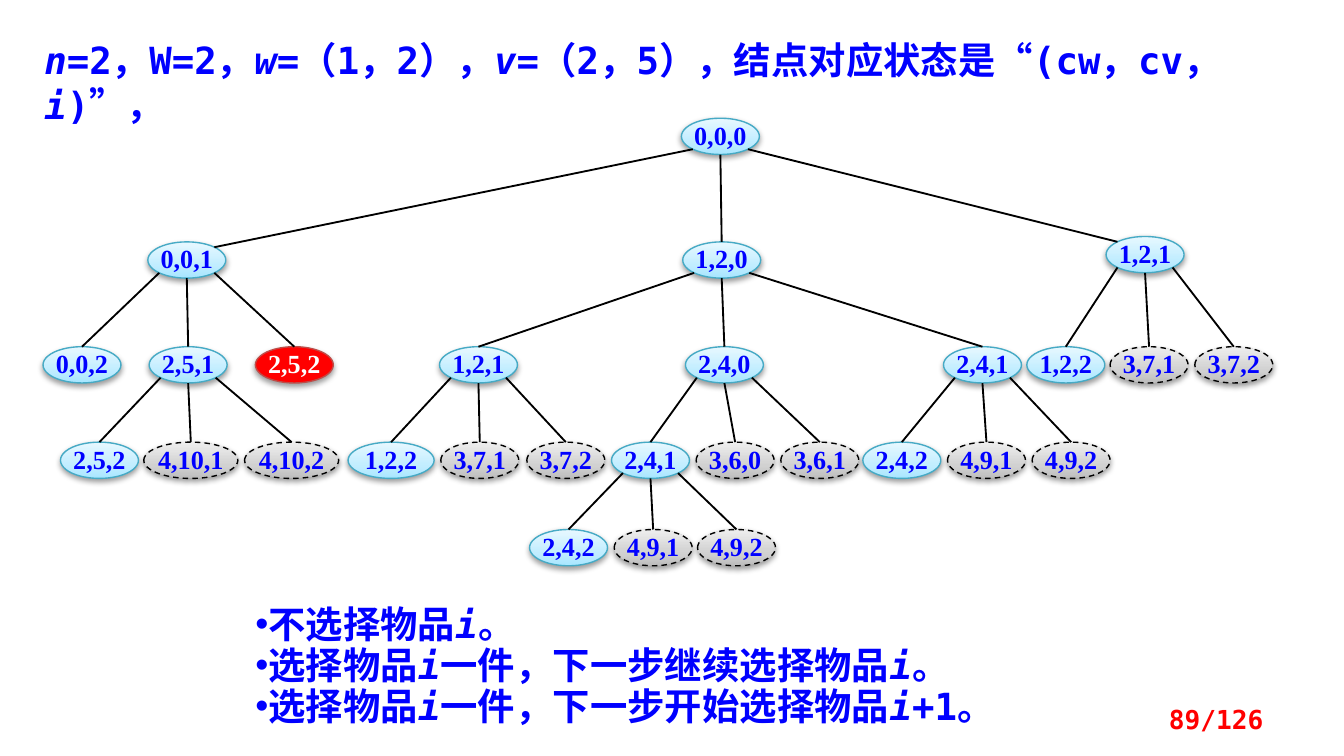
from dataclasses import dataclass
from math import sqrt

from lxml import etree
from pptx import Presentation
from pptx.dml.color import RGBColor
from pptx.enum.dml import MSO_LINE
from pptx.enum.shapes import MSO_CONNECTOR, MSO_SHAPE
from pptx.enum.text import MSO_ANCHOR, MSO_AUTO_SIZE, PP_ALIGN
from pptx.oxml import parse_xml
from pptx.oxml.ns import nsdecls, qn
from pptx.util import Inches, Pt

COLORS = {
    "text": "0000FF", "page": "FF0000", "black": "000000", "white": "FFFFFF",
    "node_line": "46AAC5", "best": "FF0000", "best_line": "BF4C48",
}
BLUE_STOPS = ("A7E6FF", "C1EDFF", "E7F8FF")
GRAY_STOPS = ("BDBDBD", "D1D1D1", "EEEEEE")
MONO, SERIF = "DejaVu Sans Mono", "Times New Roman"
SLIDE_WIDTH = 10
CAPACITY = 2
NODE_HEIGHT = 0.27
LEVELS = (0, 0.92, 1.70, 2.41, 3.06)


@dataclass
class Node:
    state: str
    x: float
    children: tuple = ()
    width: float = 0.58
    best: bool = False
    lift: float = 0      # raises the node above its level
    entry: int = 0       # where the edge arrives: 1 upper right, -1 upper left


TREE = Node("0,0,0", 4.75, (
    Node("0,0,1", 0.78, (
        Node("0,0,2", 0),
        Node("2,5,1", 0.79, (
            Node("2,5,2", 0.13),
            Node("4,10,1", 0.75, width=0.7),
            Node("4,10,2", 1.5, width=0.7))),
        Node("2,5,2", 1.58, best=True)), entry=1),
    Node("1,2,0", 4.76, (
        Node("1,2,1", 2.95, (
            Node("1,2,2", 2.27, width=0.64),
            Node("3,7,1", 2.96),
            Node("3,7,2", 3.6))),
        Node("2,4,0", 4.78, (
            Node("2,4,1", 4.23, (
                Node("2,4,2", 3.62),
                Node("4,9,1", 4.25),
                Node("4,9,2", 4.87))),
            Node("3,6,0", 4.86),
            Node("3,6,1", 5.49))),
        Node("2,4,1", 6.7, (
            Node("2,4,2", 6.1),
            Node("4,9,1", 6.73),
            Node("4,9,2", 7.36))))),
    Node("1,2,1", 7.91, (
        Node("1,2,2", 7.32),
        Node("3,7,1", 7.94),
        Node("3,7,2", 8.57)), lift=0.04, entry=-1)))


def add_span(para, text, *, size=20, font=MONO, color="text", bold=True, italic=False):
    span = para.add_run()
    span.text = text
    span.font.size, span.font.name = Pt(size), font
    span.font.bold, span.font.italic = bold, italic
    span.font.color.rgb = RGBColor.from_string(COLORS[color])


def add_spans(para, marked):
    """Add text in which *stars* enclose italic variables."""
    for index, text in enumerate(marked.split("*")):
        if text:
            add_span(para, text, italic=index % 2 == 1)


def place(shape, left, top, width, height):
    shape.left, shape.top = Inches(left), Inches(top)
    shape.width, shape.height = Inches(width), Inches(height)


def setup_frame(shape):
    frame = shape.text_frame
    frame.word_wrap = True
    frame.auto_size = MSO_AUTO_SIZE.SHAPE_TO_FIT_TEXT
    frame.vertical_anchor = MSO_ANCHOR.TOP
    return frame


def fill_title(title, left, top, width, height):
    place(title, left, top, width, height)
    para = setup_frame(title).paragraphs[0]
    para.alignment = PP_ALIGN.LEFT
    add_spans(para, "*n*=2，W=2，*w*=（1，2），*v*=（2，5），结点对应状态是“(cw，cv，*i*)”，")


def fill_choices(body, left, top, width, height):
    place(body, left, top, width, height)
    frame = setup_frame(body)
    choices = ("不选择物品*i*。",
               "选择物品*i*一件，下一步继续选择物品*i*。",
               "选择物品*i*一件，下一步开始选择物品*i*+1。")
    for index, choice in enumerate(choices):
        para = frame.add_paragraph() if index else frame.paragraphs[0]
        para.line_spacing, para.space_before = Pt(22), Pt(0)
        props = para._p.get_or_add_pPr()
        props.set("marL", "0")
        props.set("indent", "0")
        etree.SubElement(props, qn("a:buChar"), char="•")
        add_spans(para, choice)


def set_gradient(shape, colors):
    stops = "".join(f'<a:gs pos="{pos}"><a:srgbClr val="{color}"/></a:gs>'
                    for pos, color in zip((0, 35000, 100000), colors))
    shape._element.spPr.find(qn("a:prstGeom")).addnext(parse_xml(
        f'<a:gradFill {nsdecls("a")} rotWithShape="1"><a:gsLst>{stops}</a:gsLst>'
        '<a:lin ang="16200000" scaled="0"/></a:gradFill>'))


def add_shadow(shape):
    shape._element.spPr.append(parse_xml(
        f'<a:effectLst {nsdecls("a")}><a:outerShdw blurRad="{Pt(3.1)}" dist="{Pt(1.6)}" '
        'dir="5400000" rotWithShape="0"><a:srgbClr val="000000"><a:alpha val="38000"/>'
        '</a:srgbClr></a:outerShdw></a:effectLst>'))


def add_node(shapes, node, left, top):
    oval = shapes.add_shape(MSO_SHAPE.OVAL, Inches(left), Inches(top),
                            Inches(node.width), Inches(NODE_HEIGHT))
    overweight = int(node.state.split(",")[0]) > CAPACITY
    line = "best_line" if node.best else "black" if overweight else "node_line"
    oval.line.color.rgb = RGBColor.from_string(COLORS[line])
    oval.line.width = Pt(0.75)
    if overweight:
        oval.line.dash_style = MSO_LINE.DASH
    if node.best:
        oval.fill.solid()
        oval.fill.fore_color.rgb = RGBColor.from_string(COLORS["best"])
    else:
        set_gradient(oval, GRAY_STOPS if overweight else BLUE_STOPS)
    add_shadow(oval)

    frame = oval.text_frame
    frame.word_wrap = False
    frame.vertical_anchor = MSO_ANCHOR.MIDDLE
    frame.margin_left = frame.margin_right = frame.margin_top = frame.margin_bottom = 0
    para = frame.paragraphs[0]
    para.alignment, para.line_spacing = PP_ALIGN.CENTER, Pt(15)
    add_span(para, node.state, size=14, font=SERIF, color="white" if node.best else "text")


def rim_point(node, left, top, side, down):
    """Point on the oval: side -1, 0 or 1 across, down -1 (top) or 1 (bottom)."""
    reach = 1 / sqrt(2) if side else 1
    return (left + node.width / 2 * (1 + side * reach),
            top + NODE_HEIGHT / 2 * (1 + down * reach))


def add_edge(shapes, start, end):
    edge = shapes.add_connector(MSO_CONNECTOR.STRAIGHT, *map(Inches, start + end))
    edge.line.width = Pt(1)
    edge.line.color.rgb = RGBColor.from_string(COLORS["black"])
    etree.SubElement(edge._element.spPr, qn("a:effectLst"))


def draw_tree(shapes, node, left, top, level=0):
    """Draw a node and its subtree; left and top are the whole tree's corner."""
    def corner(item, depth):
        return left + item.x, top + LEVELS[depth] - item.lift

    add_node(shapes, node, *corner(node, level))
    for side, child in zip((-1, 0, 1), node.children):
        draw_tree(shapes, child, left, top, level + 1)
        add_edge(shapes, rim_point(node, *corner(node, level), side, 1),
                 rim_point(child, *corner(child, level + 1), child.entry, -1))


def add_page_number(slide, left, top, width, height):
    box = slide.shapes.add_textbox(*map(Inches, (left, top, width, height)))
    box.text_frame.word_wrap = True
    box.text_frame.vertical_anchor = MSO_ANCHOR.MIDDLE
    para = box.text_frame.paragraphs[0]
    para.alignment = PP_ALIGN.RIGHT
    add_span(para, "89/126", size=14, color="page")


def main():
    deck = Presentation()
    deck.slide_width = Inches(SLIDE_WIDTH)
    deck.slide_height = Inches(SLIDE_WIDTH * 9 / 16)
    slide = deck.slides.add_slide(deck.slide_layouts[1])
    fill_title(slide.shapes.title, 0.23, 0.23, 9.45, 0.44)
    draw_tree(slide.shapes.add_group_shape().shapes, TREE, 0.32, 0.88)
    fill_choices(slide.placeholders[1], 1.8, 4.45, 6.64, 1.03)
    add_page_number(slide, 7.17, 5.2, 2.33, 0.3)
    deck.save("out.pptx")


if __name__ == "__main__":
    main()
